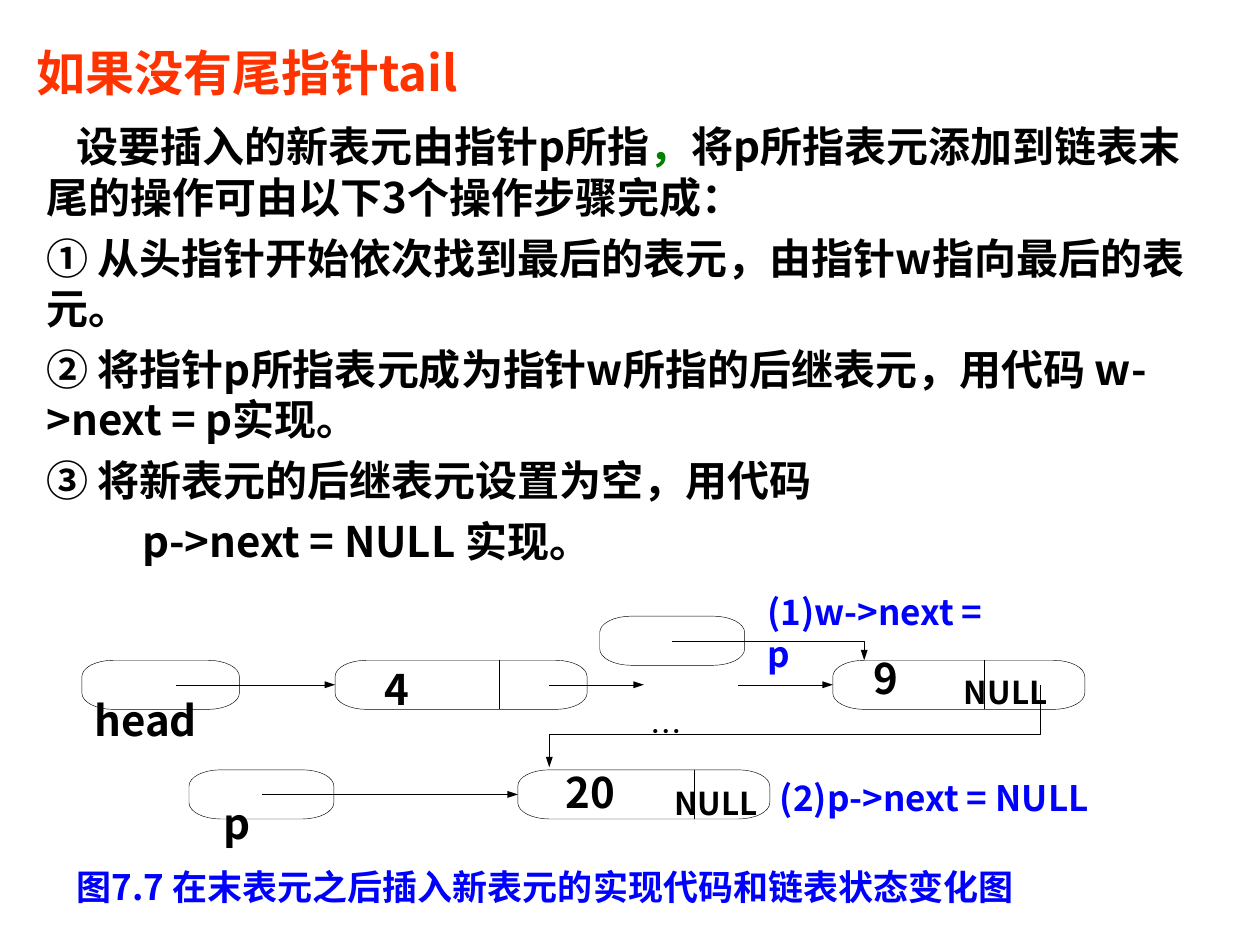
from math import cos, pi, sin
from lxml.etree import SubElement
from pptx import Presentation
from pptx.dml.color import RGBColor
from pptx.enum.shapes import MSO_CONNECTOR
from pptx.enum.text import MSO_ANCHOR, PP_ALIGN
from pptx.oxml.ns import qn
from pptx.util import Inches, Pt

FONT = "Noto Sans CJK SC"
BLACK, BLUE, GREEN, RED, WHITE = "000000", "0000FF", "008000", "FF3300", "FFFFFF"
BODY_BLACK = "010000"
NODE_H = 0.39
ROW1, ROW2, ROW_W = 5.24, 6.11, 4.89


def rgb(color):
    return RGBColor.from_string(color)


def add_run(p, text, size, color=BLACK, bold=True):
    r = p.add_run()
    r.text = text
    r.font.size = Pt(size)
    r.font.bold = bold
    r.font.name = FONT
    r.font.color.rgb = rgb(color)
    SubElement(r.font._element, qn("a:ea"), typeface=FONT)


def setup_frame(tf, inset_x=0, inset_y=0):
    tf.word_wrap = True
    tf.vertical_anchor = MSO_ANCHOR.TOP
    tf.margin_left = tf.margin_right = Inches(inset_x)
    tf.margin_top = tf.margin_bottom = Inches(inset_y)


def add_label(s, text, x, y, w, h, size=24, color=BLACK, bold=True, inset=(0, 0)):
    box = s.shapes.add_textbox(Inches(x), Inches(y), Inches(w), Inches(h))
    setup_frame(box.text_frame, *inset)
    add_run(box.text_frame.paragraphs[0], text, size, color, bold)


def add_title(s, text):
    title = s.shapes.title
    title.left, title.top = Inches(0.19), Inches(0.29)
    title.width, title.height = Inches(3.8), Inches(0.57)
    setup_frame(title.text_frame, 0.1, 0.05)
    p = title.text_frame.paragraphs[0]
    p.alignment = PP_ALIGN.LEFT
    add_run(p, text, 28, RED)


def add_steps(s, steps):
    box = s.shapes.add_textbox(Inches(0.27), Inches(0.91), Inches(9.29), Inches(3.7))
    tf = box.text_frame
    setup_frame(tf, 0.1, 0.05)
    for i, (indent, runs) in enumerate(steps):
        p = tf.add_paragraph() if i else tf.paragraphs[0]
        if i:
            p.space_before = Pt(6)
        if indent:
            p._p.get_or_add_pPr().set("indent", str(Inches(indent)))
        for text, color in runs:
            add_run(p, text, 24, color)


def add_outline(s, points, close):
    pts = [(Inches(x), Inches(y)) for x, y in points]
    builder = s.shapes.build_freeform(*pts[0], scale=1.0)
    builder.add_line_segments(pts[1:], close=close)
    shape = builder.convert_to_shape()
    shape.shadow.inherit = False
    shape.line.color.rgb = rgb(BLACK)
    shape.line.width = Pt(0.25)
    return shape


def add_node(s, x, y, w):
    rx, ry, steps = 0.25, 0.13, 8
    corners = [(x + w - rx, y + NODE_H - ry), (x + rx, y + NODE_H - ry),
               (x + rx, y + ry), (x + w - rx, y + ry)]
    points = []
    for quarter, (cx, cy) in enumerate(corners):
        for i in range(steps + 1):
            a = (quarter + i / steps) * pi / 2
            points.append((cx + rx * cos(a), cy + ry * sin(a)))
    node = add_outline(s, points, True)
    node.fill.solid()
    node.fill.fore_color.rgb = rgb(WHITE)


def add_arrowhead(shape):
    SubElement(shape.line._get_or_add_ln(), qn("a:tailEnd"),
               type="triangle", w="sm", len="med")


def add_line(s, x1, y1, x2, y2, arrow=False):
    line = s.shapes.add_connector(MSO_CONNECTOR.STRAIGHT, Inches(x1), Inches(y1),
                                  Inches(x2), Inches(y2))
    line.line.color.rgb = rgb(BLACK)
    line.line.width = Pt(0.25)
    SubElement(line._element.spPr, qn("a:effectLst"))
    if arrow:
        add_arrowhead(line)


def add_bent_arrow(s, points):
    shape = add_outline(s, points, False)
    shape.fill.background()
    add_arrowhead(shape)


def main():
    prs = Presentation()
    prs.slide_width, prs.slide_height = Inches(10), Inches(7.5)
    s = prs.slides.add_slide(prs.slide_layouts[5])

    add_title(s, "如果没有尾指针tail")
    add_steps(s, [
        (0.24, [("设要插入的新表元由指针p所指", BODY_BLACK), ("，", GREEN),
                ("将p所指表元添加到链表末尾的操作可由以下3个操作步骤完成：", BODY_BLACK)]),
        (0, [("① 从头指针开始依次找到最后的表元，由指针w指向最后的表元。", BODY_BLACK)]),
        (0, [("② 将指针p所指表元成为指针w所指的后继表元，用代码 w->next = p实现。",
              BODY_BLACK)]),
        (0, [("③ 将新表元的后继表元设置为空，用代码", BODY_BLACK)]),
        (0.76, [("p->next = NULL 实现。", BODY_BLACK)]),
    ])

    for x, y, w in [(0.65, ROW1, 1.25), (2.66, ROW1, 2), (6.61, ROW1, 2),
                    (1.5, ROW2, 1.15), (4.11, ROW2, 2), (4.76, ROW_W, 1.15)]:
        add_node(s, x, y, w)
    for x, y in [(3.96, ROW1), (7.81, ROW1), (5.51, ROW2)]:
        add_line(s, x, y, x, y + NODE_H)
    for x1, x2, row in [(1.4, 2.66, ROW1), (4.36, 5.11, ROW1),
                        (5.86, 6.61, ROW1), (2.08, 4.11, ROW2)]:
        mid = row + NODE_H / 2
        add_line(s, x1, mid, x2, mid, arrow=True)
    add_bent_arrow(s, [(8.26, 5.44), (8.26, 5.83), (4.36, 5.83), (4.36, 6.09)])
    add_bent_arrow(s, [(5.33, 5.09), (6.86, 5.09), (6.86, ROW1)])

    for text, x, y, w in [("head", 0.75, 5.51, 0.83), ("4", 3.05, 5.27, 0.5),
                          ("9", 6.93, 5.18, 0.3), ("p", 1.77, 6.33, 0.21),
                          ("20", 4.49, 6.08, 0.75)]:
        add_label(s, text, x, y, w, 0.4)
    for x, y in [(7.65, 5.34), (5.35, 6.22)]:
        add_label(s, "NULL", x, y, 0.75, 0.3, 18)
    add_label(s, "…", 5.16, 5.65, 0.26, 0.3, 18, bold=False)
    add_label(s, "(1)w->next = p", 6.09, 4.69, 1.9, 0.66, 20, BLUE)
    add_label(s, "(2)p->next = NULL", 6.19, 6.16, 2.5, 0.33, 20, BLUE)
    add_label(s, "图7.7 在末表元之后插入新表元的实现代码和链表状态变化图",
              0.51, 6.82, 8.74, 0.44, 20, BLUE, inset=(0.1, 0.05))
    prs.save("out.pptx")


if __name__ == "__main__":
    main()
